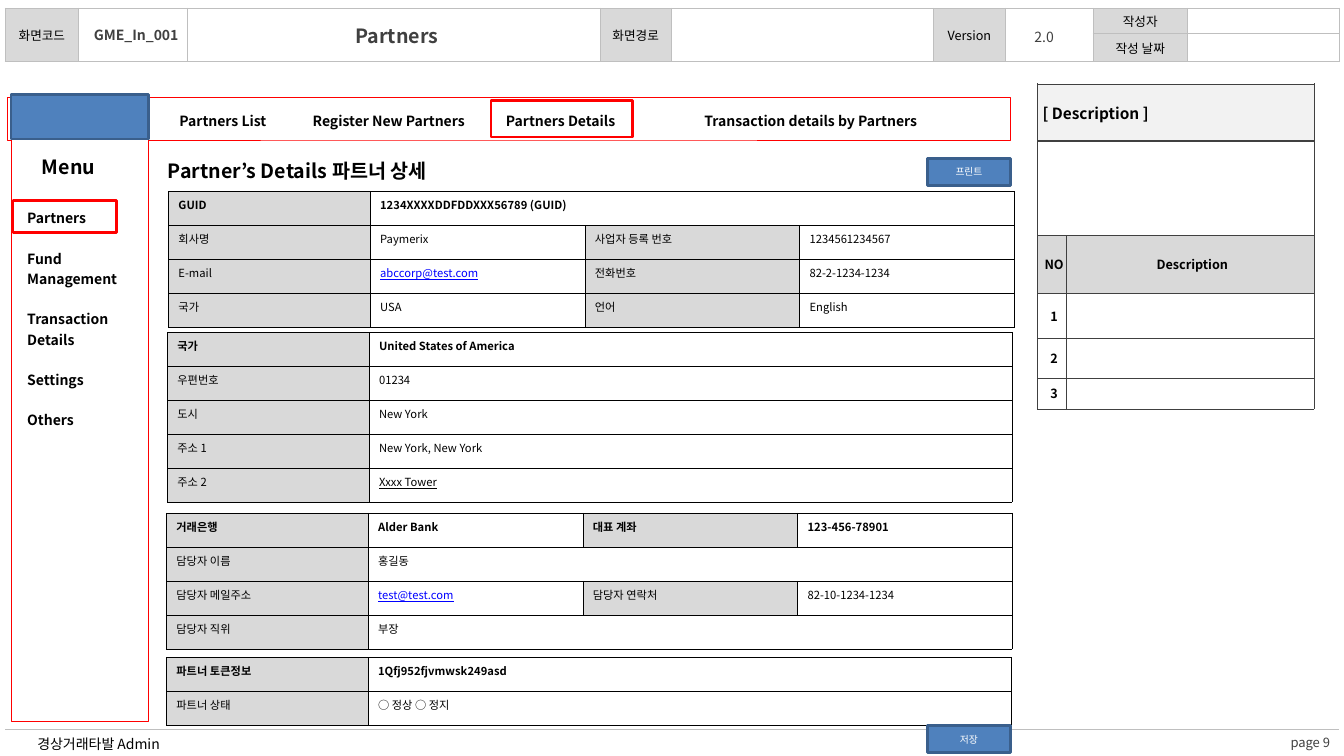
from lxml import etree
from pptx import Presentation
from pptx.dml.color import RGBColor
from pptx.enum.shapes import MSO_SHAPE
from pptx.enum.text import MSO_ANCHOR, PP_ALIGN
from pptx.oxml import parse_xml
from pptx.oxml.ns import nsdecls, qn
from pptx.util import Inches, Pt

FONT = "Noto Sans CJK KR"
NO_STYLE = "{2D5ABB26-0587-4C30-8999-92F81FD0307C}"
BLACK = RGBColor(0, 0, 0)
DARK = RGBColor(0x40, 0x40, 0x40)
SILVER = RGBColor(0xBF, 0xBF, 0xBF)
GRAY = RGBColor(0xD9, 0xD9, 0xD9)
PALE = RGBColor(0xF2, 0xF2, 0xF2)
WHITE = RGBColor(0xFF, 0xFF, 0xFF)
RED = RGBColor(0xFF, 0, 0)
LINK = RGBColor(0, 0, 0xFF)
BLUE = RGBColor(0x4F, 0x81, 0xBD)
NAVY = RGBColor(0x3A, 0x5F, 0x8C)

HEADER_COLUMNS = [0.73, 1.08, 4.09, 0.71, 2.6, 0.71, 0.87, 0.94, 1.5]
HEADER_ROWS = [0.25, 0.28, 6.62]
HEADER_LABELS = {(0, 0): "화면코드", (0, 3): "화면경로", (0, 5): "Version",
                 (0, 7): "작성자", (1, 7): "작성 날짜"}

DESCRIPTION_ROWS = [0.57, 0.94, 0.57, 0.45, 0.39, 0.31]
DESCRIPTION_TEXT = [["[ Description ]", None], ["", None], ["NO", "Description"],
                    ["1", ""], ["2", ""], ["3", ""]]

NAVIGATION = {"Partners List": 1.38, "Register New Partners": 1.91,
              "Partners Details": 1.5, "Transaction details by Partners": 3.46}
MENU = ["Partners", "Fund Management", "Transaction Details", "Settings", "Others"]

FOUR_COLUMNS = [2, 2.13, 2.13, 2.13]
TWO_COLUMNS = [2, 6.38]
UNDERLINED = {"Xxxx Tower"}
# left, top, height, columns, rows; None continues the cell on its left
DETAILS = [
    (1.67, 1.9, 1.35, FOUR_COLUMNS, [
        ["GUID", "1234XXXXDDFDDXXX56789 (GUID)", None, None],
        ["회사명", "Paymerix", "사업자 등록 번호", "1234561234567"],
        ["E-mail", "abccorp@test.com", "전화번호", "82-2-1234-1234"],
        ["국가", "USA", "언어", "English"]]),
    (1.66, 3.3, 1.68, TWO_COLUMNS, [
        ["국가", "United States of America"],
        ["우편번호", "01234"],
        ["도시", "New York"],
        ["주소 1", "New York, New York"],
        ["주소 2", "Xxxx Tower"]]),
    (1.65, 5.09, 1.35, FOUR_COLUMNS, [
        ["거래은행", "Alder Bank", "대표 계좌", "123-456-78901"],
        ["담당자 이름", "홍길동", None, None],
        ["담당자 메일주소", "test@test.com", "담당자 연락처", "82-10-1234-1234"],
        ["담당자 직위", "부장", None, None]]),
    (1.65, 6.52, 0.67, TWO_COLUMNS, [
        ["파트너 토큰정보", "1Qfj952fjvmwsk249asd"],
        ["파트너 상태", "○ 정상 ○ 정지"]]),
]

# text, (left, top, width, height), font format, frame format
CENTER_INSETS = {"margin_left": 0}
TEXT_BOXES = [
    ("page 9", (12.47, 7.23, 1.05, 0.26), {"size": 9.3, "color": DARK},
     {"vertical_anchor": MSO_ANCHOR.MIDDLE}),
    ("경상거래타발 Admin", (0.05, 7.25, 12.91, 0.25),
     {"size": 10, "align": PP_ALIGN.LEFT},
     {"vertical_anchor": MSO_ANCHOR.MIDDLE, "margin_left": Inches(0.32)}),
    ("Partner’s Details 파트너 상세", (1.49, 1.53, 2.92, 0.34),
     {"size": 14, "bold": True}, {"word_wrap": False}),
    ("GME_In_001", (0.78, 0.21, 1.24, 0.27),
     {"size": 10, "bold": True, "color": DARK}, CENTER_INSETS),
    ("2.0", (10.05, 0.23, 0.71, 0.27), {"size": 10, "color": DARK}, CENTER_INSETS),
    ("Partners", (1.94, 0.19, 4.09, 0.34),
     {"size": 14, "bold": True, "color": DARK}, CENTER_INSETS),
    ("Menu", (0.31, 1.49, 0.74, 0.34), {"size": 14, "bold": True}, {"word_wrap": False}),
]


def set_all(target, values):
    for name, value in values.items():
        setattr(target, name, value)


def write(paragraph, text, size=8, color=BLACK, align=PP_ALIGN.CENTER, **values):
    paragraph.alignment = align
    run = paragraph.add_run()
    run.text = text
    set_all(run.font, {"size": Pt(size), "name": FONT, **values})
    run.font.color.rgb = color
    latin = run.font._element.find(qn("a:latin"))
    latin.addnext(parse_xml(f'<a:ea {nsdecls("a")} typeface="{FONT}"/>'))


def add_box(slide, place, fill, line, width, text=""):
    box = slide.shapes.add_shape(MSO_SHAPE.RECTANGLE, *map(Inches, place))
    box.shadow.inherit = False
    if fill is None:
        box.fill.background()
    else:
        box.fill.solid()
        box.fill.fore_color.rgb = fill
    box.line.color.rgb = line
    box.line.width = Pt(width)
    if text:
        box.text_frame.vertical_anchor = MSO_ANCHOR.MIDDLE
        write(box.text_frame.paragraphs[0], text, 7, WHITE)


def add_table(slide, left, top, columns, rows, border=None):
    """Add an unstyled table whose empty cells keep a small text height."""
    frame = slide.shapes.add_table(len(rows), len(columns), Inches(left), Inches(top),
                                   Inches(sum(columns)), Inches(sum(rows)))
    table = frame.table
    table.first_row = table.horz_banding = False
    table._tbl.tblPr.find(qn("a:tableStyleId")).text = NO_STYLE
    for column, width in zip(table.columns, columns):
        column.width = Inches(width)
    for row, height in zip(table.rows, rows):
        row.height = Inches(height)
    for cell in table.iter_cells():
        end = etree.SubElement(cell.text_frame.paragraphs[0]._p, qn("a:endParaRPr"))
        end.set("sz", "800")
        if border is not None:
            set_borders(cell, border, "LRTB")
    return table


def set_borders(cell, color, sides, width=0.25):
    properties = cell._tc.get_or_add_tcPr()
    for side in sides:
        old = properties.find(qn(f"a:ln{side}"))
        line = parse_xml(f'<a:ln{side} {nsdecls("a")} w="{Pt(width)}"><a:solidFill>'
                         f'<a:srgbClr val="{color}"/></a:solidFill></a:ln{side}>')
        if old is None:
            properties.append(line)
        else:
            properties.replace(old, line)


def fill_cell(cell, fill, text="", insets=None, middle=True, **values):
    cell.fill.solid()
    cell.fill.fore_color.rgb = fill
    if middle:
        cell.vertical_anchor = MSO_ANCHOR.MIDDLE
    if insets:
        sides = ("margin_left", "margin_top", "margin_right", "margin_bottom")
        set_all(cell, dict(zip(sides, map(Inches, insets))))
    if text:
        write(cell.text_frame.paragraphs[0], text, **values)


def add_header(slide):
    table = add_table(slide, 0.05, 0.08, HEADER_COLUMNS, HEADER_ROWS, SILVER)
    last = len(HEADER_COLUMNS) - 1
    for column in range(last - 1):
        table.cell(0, column).merge(table.cell(1, column))
    for column in range(last + 1):
        properties = table.cell(2, column)._tc.tcPr
        for side in "LR":
            properties.remove(properties.find(qn(f"a:ln{side}")))
    table.cell(2, 0).merge(table.cell(2, last))
    for place, label in HEADER_LABELS.items():
        fill_cell(table.cell(*place), GRAY, label, (0.01, 0.01, 0.01, 0), size=9)


def add_description(slide):
    table = add_table(slide, 10.29, 0.83, [0.28, 2.46], DESCRIPTION_ROWS, DARK)
    fills = [PALE, WHITE, GRAY, WHITE, WHITE, WHITE]
    for row, texts in enumerate(DESCRIPTION_TEXT):
        for column, text in enumerate(texts):
            cell = table.cell(row, column)
            if row < 3:
                set_borders(cell, DARK, ["B", "TB", "T"][row], 1)
            if text is None:
                table.cell(row, 0).merge(cell)
                continue
            fill_cell(cell, fills[row], text, (0.05, 0, 0, 0), bold=True,
                      size=9 if row else 11,
                      align=PP_ALIGN.CENTER if row else PP_ALIGN.LEFT)


def add_details(slide, left, top, height, columns, rows):
    table = add_table(slide, left, top, columns, [height / len(rows)] * len(rows), BLACK)
    for row, texts in enumerate(rows):
        if None in texts:
            table.cell(row, 1).merge(table.cell(row, len(columns) - 1))
        for column, text in enumerate(texts):
            if text is None:
                continue
            is_link = "@" in text
            fill_cell(table.cell(row, column), WHITE if column % 2 else GRAY, text,
                      middle=False, align=PP_ALIGN.LEFT, bold=row == 0,
                      color=LINK if is_link else BLACK,
                      underline=is_link or text in UNDERLINED)


def add_menu(slide):
    table = add_table(slide, 0.17, 1.75, [1.12], [0.26, 2.44])
    fill_cell(table.cell(0, 0), WHITE)
    fill_cell(table.cell(1, 0), WHITE, middle=False)
    frame = table.cell(1, 0).text_frame
    for index, item in enumerate(MENU):
        paragraph = frame.add_paragraph() if index else frame.paragraphs[0]
        if index:
            paragraph.space_before = Pt(14.5)
        write(paragraph, item, 10, align=PP_ALIGN.LEFT, bold=True)


def add_navigation(slide):
    table = add_table(slide, 1.52, 1.02, list(NAVIGATION.values()), [0.36])
    for column, label in enumerate(NAVIGATION):
        fill_cell(table.cell(0, column), WHITE, label, size=10, bold=True)


def main():
    presentation = Presentation()
    presentation.slide_width, presentation.slide_height = Inches(13.33), Inches(7.5)
    slide = presentation.slides.add_slide(presentation.slide_layouts[6])
    add_header(slide)
    add_description(slide)
    add_box(slide, (0.07, 0.96, 9.95, 0.43), WHITE, RED, 0.25)
    add_box(slide, (0.11, 0.96, 1.36, 6.2), WHITE, RED, 0.25)
    for details in DETAILS:
        add_details(slide, *details)
    for label, top in {"프린트": 1.57, "저장": 7.2}.items():
        add_box(slide, (9.2, top, 0.82, 0.27), BLUE, NAVY, 2, label)
    add_box(slide, (0.11, 0.94, 1.36, 0.44), BLUE, NAVY, 2)
    add_menu(slide)
    add_navigation(slide)
    for highlight in [(0.13, 1.99, 1.03, 0.32), (4.87, 1, 1.4, 0.36)]:
        add_box(slide, highlight, None, RED, 2)
    for text, place, font, frame_format in TEXT_BOXES:
        frame = slide.shapes.add_textbox(*map(Inches, place)).text_frame
        set_all(frame, {"word_wrap": True, **frame_format})
        write(frame.paragraphs[0], text, **font)
    presentation.save("out.pptx")


if __name__ == "__main__":
    main()
